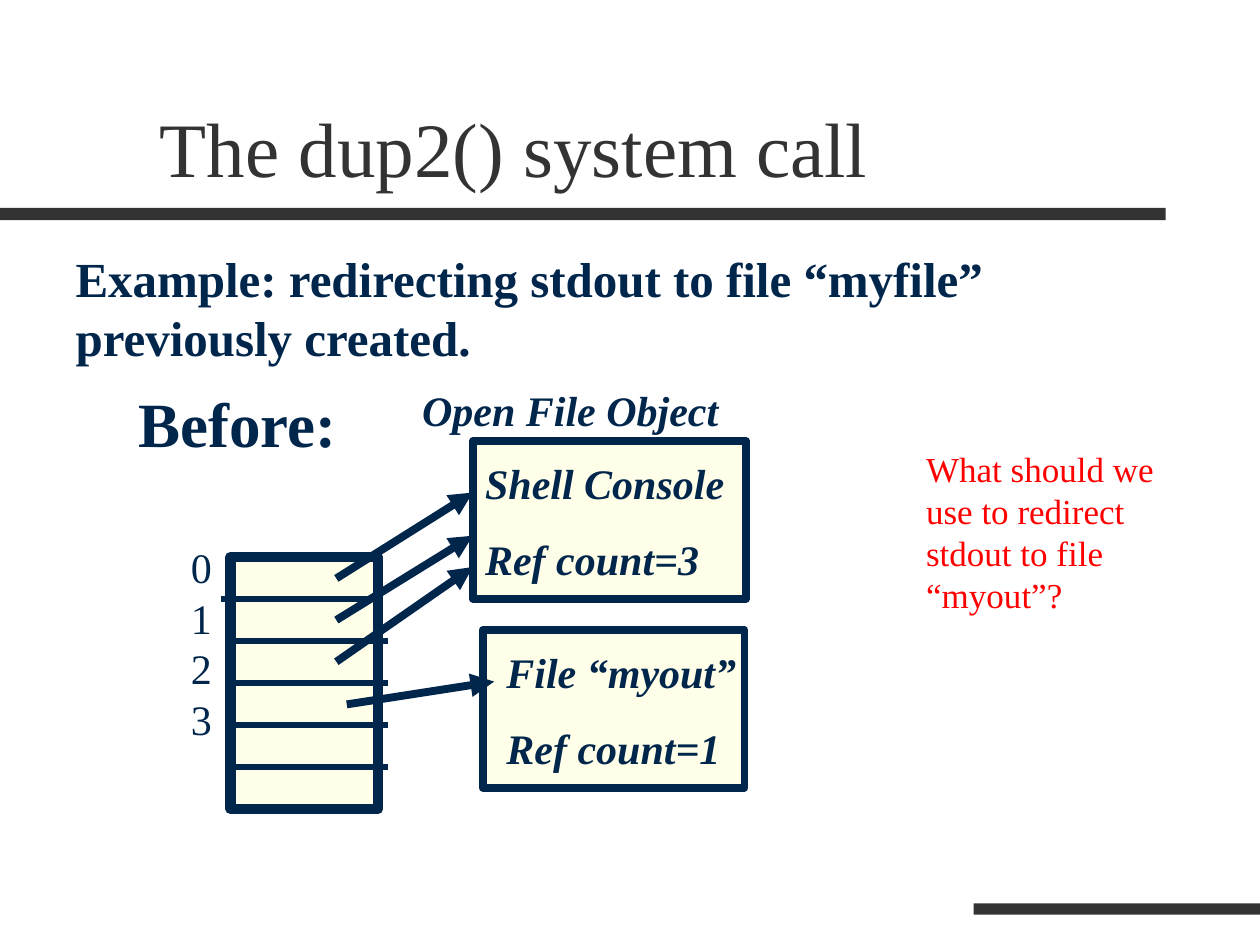
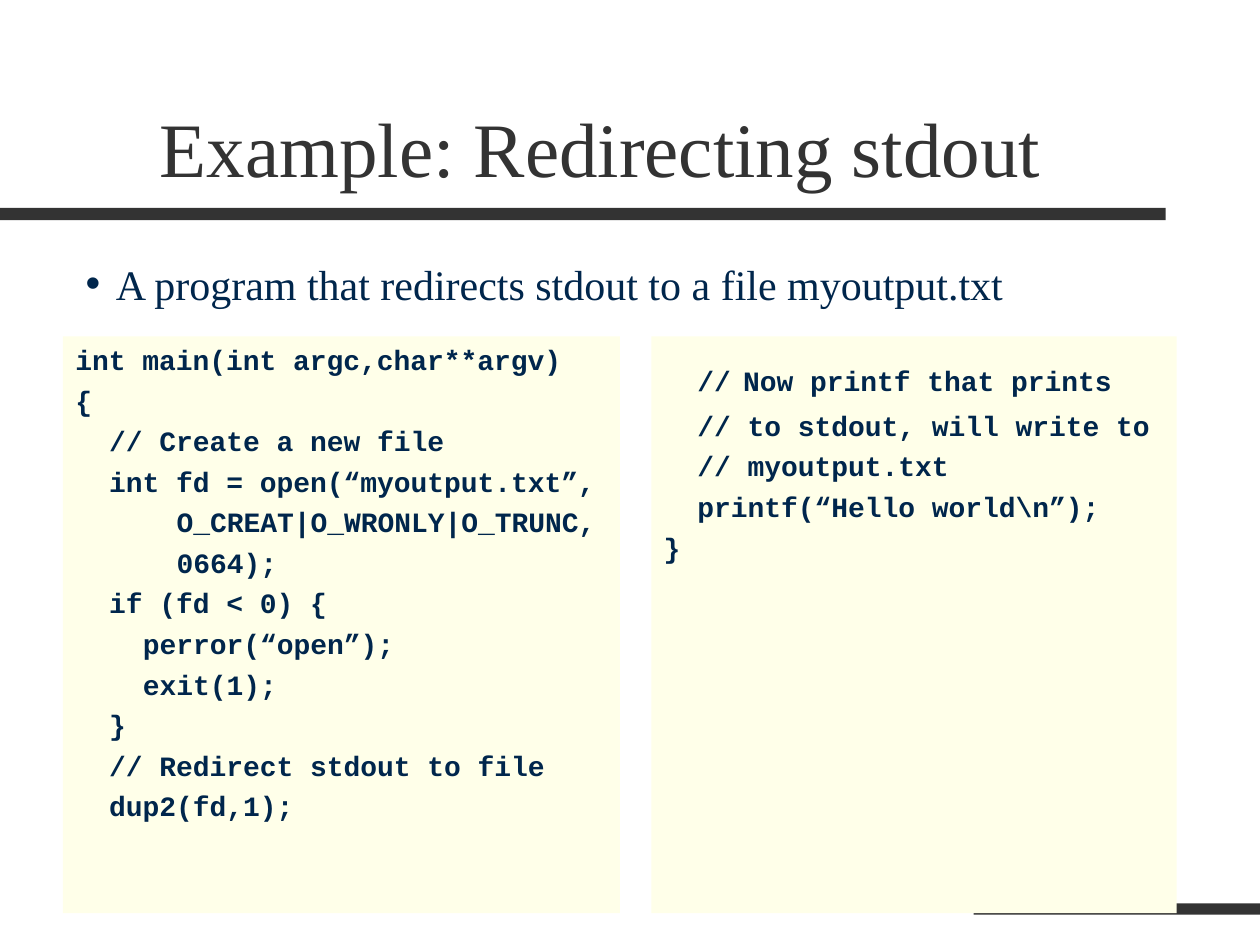
from lxml.etree import SubElement
from pptx import Presentation
from pptx.dml.color import RGBColor
from pptx.enum.shapes import MSO_CONNECTOR as Connector, MSO_SHAPE as Shape
from pptx.enum.text import MSO_ANCHOR as Anchor, MSO_AUTO_SIZE as AutoSize, PP_ALIGN as Align
from pptx.oxml.ns import qn
from pptx.util import Cm, Pt

NAVY, CREAM, GRAY, RED = "00264C", "FFFFE9", "333333", "FF0000"
SERIF, MONO = "Times New Roman", "Courier New"

# Boxes are (left, top, width, height) in cm.
TITLE_BOX = (2.97, 0.84, 21.59, 3.18)
BARS = [(0, 4.19, 23.5, 0.25), (19.63, 18.21, 5.77, 0.23)]

DUP2_TITLE = "The dup2() system call"
DUP2_INTRO = "Example: redirecting stdout to file “myfile” previously created."
INTRO_BOX = (1.27, 4.88, 19.89, 2.64)
LABELS = [
    (["Before:"], (2.54, 7.62, 4.52, 1.78), dict(size=36, bold=True)),
    (["Open File Object"], (8.26, 7.62, 6.56, 1.27), dict(size=24, bold=True, italic=True)),
    (["0", "1", "2", "3"], (3.6, 10.8, 1.07, 4.32), dict(size=24)),
    (["What should we use to redirect stdout to file “myout”?"],
     (18.42, 8.89, 5.28, 3.68), dict(size=20, color=RED)),
]
DESCRIPTOR_TABLE = (4.65, 11.23, 2.97, 5.08)
DESCRIPTOR_ROWS = 6
DIVIDER_LENGTH, FIRST_DIVIDER_SHIFT = 3.18, 0.2
FILE_OBJECTS = [  # lines, box, left inset
    (["Shell Console", "Ref count=3"], (9.53, 8.89, 5.51, 3.18), 0.25),
    (["File “myout”", "Ref count=1"], (9.73, 12.7, 5.28, 3.18), 0.48),
]
ARROWS = [  # start, end
    ((6.78, 11.66), (9.53, 9.93)),
    ((6.78, 12.5), (9.53, 10.8)),
    ((6.78, 13.34), (9.53, 11.43)),
    ((6.99, 14.2), (9.96, 13.74)),
]

STDOUT_TITLE = "Example: Redirecting stdout"
STDOUT_BULLET = "A program that redirects stdout to a file myoutput.txt"
BULLET_BOX = (1.47, 5.08, 22.43, 1.27)
BULLET_INDENT = 0.61
CODE_STYLE = dict(size=16, font=MONO, bold=True)
CODE_COLUMN = 0.34  # width of one character
CODE_PANELS = [  # box, lines as (indent in characters, text or styled pieces)
    ((1.27, 6.78, 11.23, 11.63), [
        (0, "int main(int argc,char**argv)"),
        (0, "{"),
        (2, "// Create a new file"),
        (2, "int fd = open(“myoutput.txt”,"),
        (6, "O_CREAT|O_WRONLY|O_TRUNC,"),
        (6, "0664);"),
        (2, "if (fd < 0) {"),
        (4, "perror(“open”);"),
        (4, "exit(1);"),
        (2, "}"),
        (2, "// Redirect stdout to file"),
        (2, "dup2(fd,1);"),
    ]),
    ((13.13, 6.78, 10.59, 11.63), [
        (2, [("//", CODE_STYLE), (" ", dict(size=28)), ("Now printf that prints", CODE_STYLE)]),
        (2, "// to stdout, will write to"),
        (2, "// myoutput.txt"),
        (2, "printf(“Hello world\\n”);"),
        (0, "}"),
    ]),
]


def rgb(color):
    return RGBColor.from_string(color)


def lengths(values):
    return [Cm(value) for value in values]


def place(shape, box):
    shape.left, shape.top, shape.width, shape.height = lengths(box)


def add_run(paragraph, text, size, color=NAVY, font=SERIF, bold=False, italic=False):
    run = paragraph.add_run()
    run.text = text
    run.font.size, run.font.name = Pt(size), font
    run.font.bold, run.font.italic = bold, italic
    run.font.color.rgb = rgb(color)


def prepare_frame(shape, anchor=Anchor.TOP):
    frame = shape.text_frame
    frame.word_wrap, frame.auto_size = True, AutoSize.NONE
    frame.vertical_anchor = anchor
    return frame


def next_paragraph(frame, index, space=0):
    """Return the paragraph for this index, with space above all but the first."""
    paragraph = frame.add_paragraph() if index else frame.paragraphs[0]
    paragraph.alignment = Align.LEFT
    paragraph.space_before = Pt(space if index else 0)
    return paragraph


def set_bullet(paragraph, indent):
    """Hang a round bullet by the indent, or drop the bullet when it is 0."""
    properties = paragraph._p.get_or_add_pPr()
    properties.set("marL", str(Cm(indent)))
    properties.set("indent", str(-Cm(indent)))
    if indent:
        SubElement(properties, qn("a:buChar"), char="•")
    else:
        SubElement(properties, qn("a:buNone"))


def add_box(slide, box, fill, line=None, line_width=0):
    shape = slide.shapes.add_shape(Shape.RECTANGLE, *lengths(box))
    shape.shadow.inherit = False
    shape.fill.solid()
    shape.fill.fore_color.rgb = rgb(fill)
    if line:
        shape.line.color.rgb, shape.line.width = rgb(line), Pt(line_width)
    else:
        shape.line.fill.background()
    return shape


def add_line(slide, start, end, width, arrow=False):
    connector = slide.shapes.add_connector(Connector.STRAIGHT, *lengths(start + end))
    connector.line.color.rgb, connector.line.width = rgb(NAVY), Pt(width)
    if arrow:
        SubElement(connector.line._get_or_add_ln(), qn("a:tailEnd"), type="triangle")
    SubElement(connector.element.spPr, qn("a:effectLst"))


def add_label(slide, lines, box, style):
    frame = prepare_frame(slide.shapes.add_textbox(*lengths(box)))
    for index, line in enumerate(lines):
        add_run(next_paragraph(frame, index), line, **style)


def move_bars_to_layout(slide):
    """Draw the bars once and hand them to the layout, behind every slide."""
    layout_tree = slide.slide_layout.shapes.element
    for number, box in enumerate(BARS, start=101):
        bar = add_box(slide, box, GRAY)
        bar.element.nvSpPr.cNvPr.set("id", str(number))
        layout_tree.append(bar.element)


def add_slide(presentation, title, intro, intro_box, intro_style, bullet_indent=0):
    slide = presentation.slides.add_slide(presentation.slide_layouts[1])
    heading, body = slide.placeholders
    place(heading, TITLE_BOX)
    frame = prepare_frame(heading, Anchor.BOTTOM)
    add_run(next_paragraph(frame, 0), title, 44, GRAY)
    place(body, intro_box)
    paragraph = next_paragraph(prepare_frame(body), 0)
    set_bullet(paragraph, bullet_indent)
    add_run(paragraph, intro, **intro_style)
    return slide


def add_descriptor_table(slide):
    left, top, _, height = DESCRIPTOR_TABLE
    add_box(slide, DESCRIPTOR_TABLE, CREAM, NAVY, 6)
    for row in range(1, DESCRIPTOR_ROWS):
        x = left - FIRST_DIVIDER_SHIFT if row == 1 else left
        y = top + row * height / DESCRIPTOR_ROWS
        add_line(slide, (x, y), (x + DIVIDER_LENGTH, y), 3)


def add_file_object(slide, lines, box, inset):
    shape = add_box(slide, box, CREAM, NAVY, 4.5)
    frame = prepare_frame(shape)
    frame.margin_left, frame.margin_top, frame.margin_right = lengths((inset, 0.33, 0))
    for index, line in enumerate(lines):
        add_run(next_paragraph(frame, index, 15), line, 24, bold=True, italic=True)


def add_code_panel(slide, box, lines):
    frame = prepare_frame(add_box(slide, box, CREAM))
    for index, (columns, code) in enumerate(lines):
        paragraph = next_paragraph(frame, index, 4)
        paragraph._p.get_or_add_pPr().set("marL", str(Cm(columns * CODE_COLUMN)))
        pieces = [(code, CODE_STYLE)] if isinstance(code, str) else code
        for text, style in pieces:
            add_run(paragraph, text, **style)


def main():
    presentation = Presentation()
    presentation.slide_width, presentation.slide_height = Cm(25.4), Cm(19.05)

    slide = add_slide(presentation, DUP2_TITLE, DUP2_INTRO, INTRO_BOX, dict(size=28, bold=True))
    move_bars_to_layout(slide)
    add_descriptor_table(slide)
    for lines, box, inset in FILE_OBJECTS:
        add_file_object(slide, lines, box, inset)
    for start, end in ARROWS:
        add_line(slide, start, end, 4.5, arrow=True)
    for lines, box, style in LABELS:
        add_label(slide, lines, box, style)

    slide = add_slide(presentation, STDOUT_TITLE, STDOUT_BULLET, BULLET_BOX,
                      dict(size=24), BULLET_INDENT)
    for box, lines in CODE_PANELS:
        add_code_panel(slide, box, lines)

    presentation.save("out.pptx")


if __name__ == "__main__":
    main()
